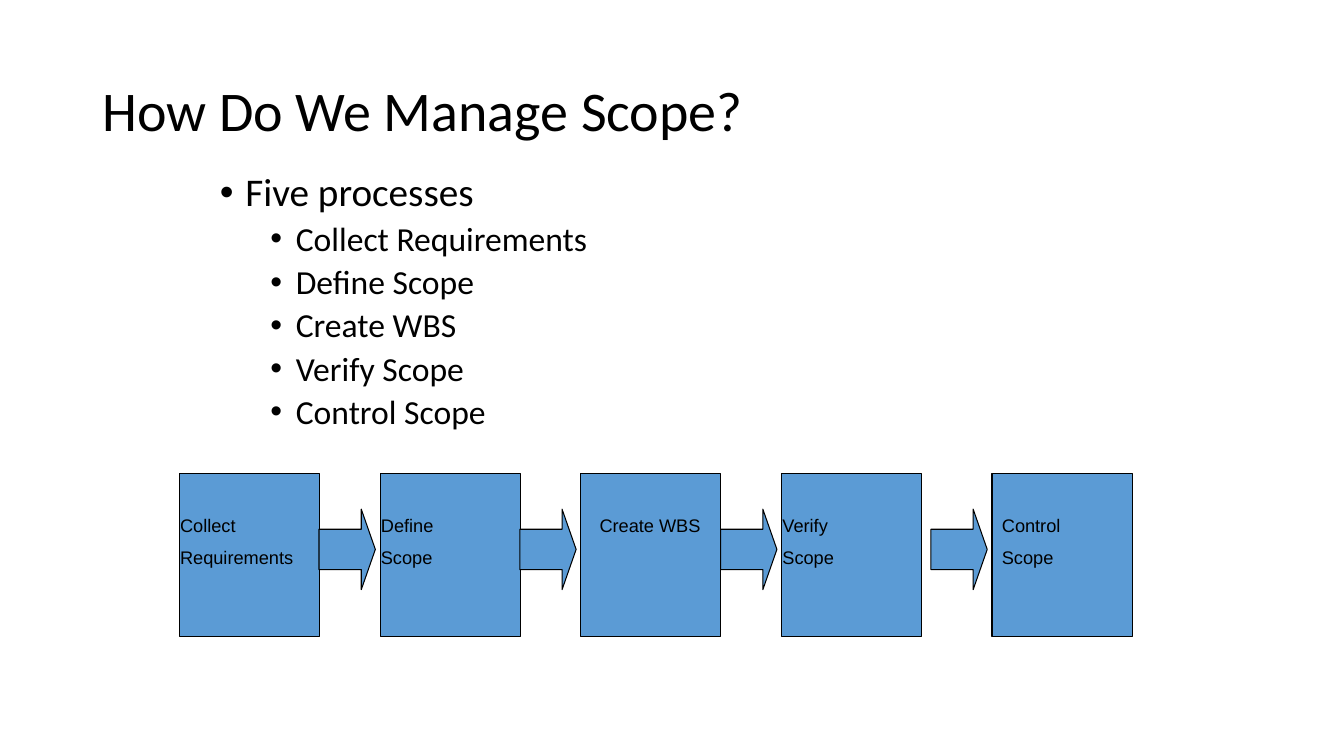
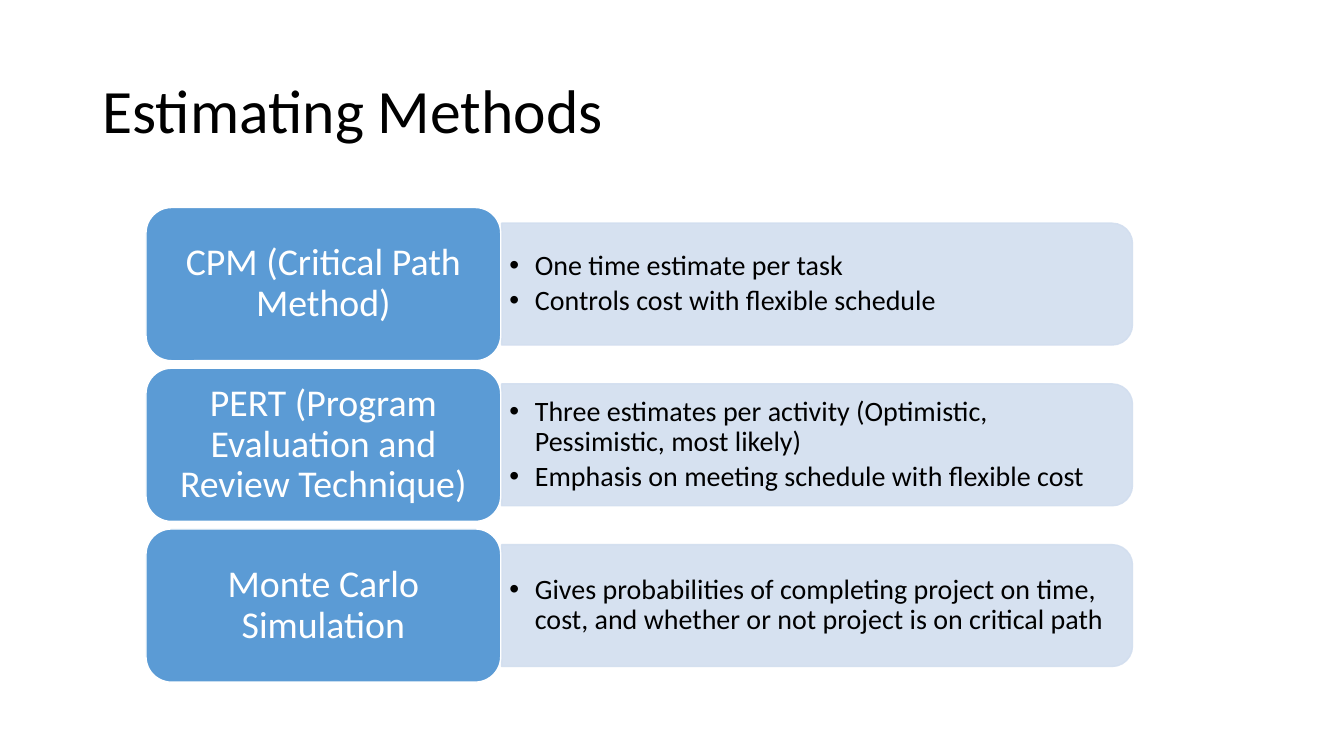
from lxml import etree
from pptx import Presentation
from pptx.dml.color import RGBColor
from pptx.enum.shapes import MSO_SHAPE as Shape
from pptx.enum.text import MSO_ANCHOR as Anchor, MSO_AUTO_SIZE as AutoSize, PP_ALIGN as Align
from pptx.oxml.ns import qn
from pptx.util import Cm, Pt

# Shared look
hex_color = RGBColor.from_string
BLACK, WHITE, BLUE, PALE = "000000", "FFFFFF", "5B9BD5", "D2DEEF"
TITLE_AND_CONTENT, TITLE_ONLY = 1, 5


def add_panel(slide, kind, box, fill, line, line_width):
    left, top, width, height = box
    shape = slide.shapes.add_shape(kind, Cm(left), Cm(top), Cm(width), Cm(height))
    shape.shadow.inherit = False
    shape.fill.solid()
    shape.fill.fore_color.rgb = hex_color(fill)
    shape.line.color.rgb = hex_color(line)
    shape.line.width = Pt(line_width)
    return shape


def write_lines(frame, lines, size, color=BLACK, font="Calibri", align=Align.LEFT,
                anchor=Anchor.TOP, spacing=0.9, before=0, after=0, margins=None, indent=None):
    """Write (text, level) lines; an indent in cm also gives them bullets."""
    frame.word_wrap = True
    frame.auto_size = AutoSize.NONE
    frame.vertical_anchor = anchor
    if margins:
        frame.margin_left = frame.margin_right = Cm(margins[0])
        frame.margin_top = frame.margin_bottom = Cm(margins[1])
    for index, (text, level) in enumerate(lines):
        paragraph = frame.add_paragraph() if index else frame.paragraphs[0]
        paragraph.level = level
        paragraph.alignment = align
        paragraph.line_spacing = spacing
        paragraph.space_before = Pt(before if index else 0)
        paragraph.space_after = Pt(after)
        if indent:
            properties = paragraph._p.get_or_add_pPr()
            properties.set("marL", str(Cm(indent + 1.27 * level)))
            properties.set("indent", str(-Cm(indent)))
            etree.SubElement(properties, qn("a:buFont")).set("typeface", "Arial")
            etree.SubElement(properties, qn("a:buChar")).set("char", "•")
        run = paragraph.add_run()
        run.text = text
        run.font.name = font
        run.font.size = Pt(size - 4 * level)
        run.font.color.rgb = hex_color(color)


presentation = Presentation()
presentation.slide_width, presentation.slide_height = Cm(33.87), Cm(19.05)

# Slides and titles
slides = []
for layout, title_text, title_size in [
    (TITLE_AND_CONTENT, "How Do We Manage Scope?", 40),
    (TITLE_ONLY, "Estimating Methods", 44),
]:
    slide = presentation.slides.add_slide(presentation.slide_layouts[layout])
    title = slide.shapes.title
    title.left, title.top, title.width, title.height = Cm(2.33), Cm(1.01), Cm(29.21), Cm(3.68)
    write_lines(title.text_frame, [(title_text, 0)], title_size, anchor=Anchor.MIDDLE)
    slides.append(slide)
scope_slide, methods_slide = slides

# Scope: list of processes
body = scope_slide.placeholders[1]
body.left, body.top, body.width, body.height = Cm(5.29), Cm(4.23), Cm(22.86), Cm(12.6)
processes = ["Collect Requirements", "Define Scope", "Create WBS", "Verify Scope", "Control Scope"]
write_lines(body.text_frame, [("Five processes", 0)] + [(name, 1) for name in processes],
            28, before=5, indent=0.64)

# Scope: process chain, the last step set slightly apart
BOX_TOP, BOX_WIDTH, BOX_HEIGHT = 11.94, 3.53, 4.09
steps = [
    (["Collect", "Requirements"], 0.02),
    (["Define", "Scope"], 0.02),
    (["Create WBS"], 0.47),
    (["Verify", "Scope"], 0.02),
    (["Control", "Scope"], 0.25),
]
for index, (words, margin) in enumerate(steps):
    left = 4.52 + 5.06 * index
    if index == len(steps) - 1:
        left += 0.24
    box = add_panel(scope_slide, Shape.RECTANGLE, (left, BOX_TOP, BOX_WIDTH, BOX_HEIGHT),
                    BLUE, BLACK, 0.75)
    write_lines(box.text_frame, [(word, 0) for word in words], 13, font="Arial",
                spacing=1, before=7, margins=(margin, 1.02))
    if index:
        arrow = add_panel(scope_slide, Shape.RIGHT_ARROW, (left - 1.54, 12.83, 1.42, 2.03),
                          BLUE, BLACK, 0.75)
        arrow.adjustments[0], arrow.adjustments[1] = 0.5, 0.25

# Methods: name card with a detail band on its right
CARD_LEFT, CARD_TOP, CARD_WIDTH, CARD_HEIGHT = 3.68, 5.23, 8.94, 3.86
BAND_LEFT, BAND_LENGTH, BAND_HEIGHT = 12.64, 15.9, 3.07
methods = [
    ("CPM (Critical Path Method)",
     ["One time estimate per task", "Controls cost with flexible schedule"]),
    ("PERT (Program Evaluation and Review Technique)",
     ["Three estimates per activity (Optimistic, Pessimistic, most likely)",
      "Emphasis on meeting schedule with flexible cost"]),
    ("Monte Carlo Simulation",
     ["Gives probabilities of completing project on time, cost, "
      "and whether or not project is on critical path"]),
]
for index, (name, details) in enumerate(methods):
    top = CARD_TOP + 4.05 * index
    middle = top + CARD_HEIGHT / 2

    # The band is a turned shape, so its box is placed around the same centre
    band = add_panel(methods_slide, Shape.ROUND_2_SAME_RECTANGLE,
                     (BAND_LEFT + (BAND_LENGTH - BAND_HEIGHT) / 2, middle - BAND_LENGTH / 2,
                      BAND_HEIGHT, BAND_LENGTH), PALE, PALE, 1)
    band.rotation = 90
    for color in band._element.spPr.iter(qn("a:srgbClr")):
        etree.SubElement(color, qn("a:alpha")).set("val", "90000")

    detail_box = methods_slide.shapes.add_textbox(Cm(BAND_LEFT), Cm(middle - 1.4), Cm(15.75), Cm(2.8))
    write_lines(detail_box.text_frame, [(detail, 0) for detail in details], 20,
                anchor=Anchor.MIDDLE, after=3, margins=(0.2, 0.1), indent=0.64)

    card = add_panel(methods_slide, Shape.ROUNDED_RECTANGLE,
                     (CARD_LEFT, top, CARD_WIDTH, CARD_HEIGHT), BLUE, WHITE, 1)
    write_lines(card.text_frame, [(name, 0)], 27, color=WHITE, align=Align.CENTER,
                anchor=Anchor.MIDDLE, margins=(0.28, 0.15))

presentation.save("out.pptx")
